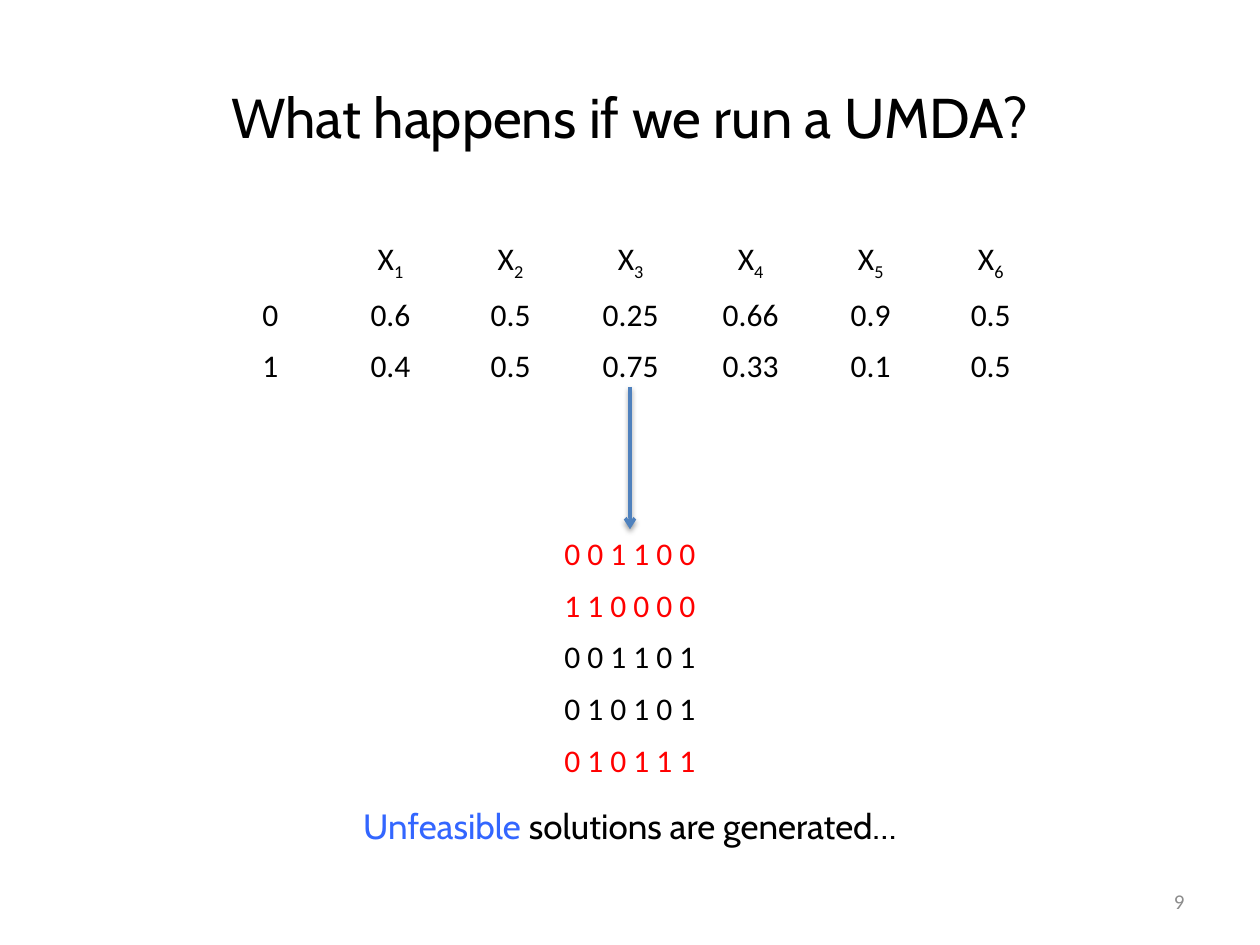
from lxml import etree
from pptx import Presentation
from pptx import util as u
from pptx.dml.color import RGBColor
from pptx.enum import shapes, text
from pptx.oxml import ns

BLACK, RED, BLUE, GREY, ARROW = "000000", "FF0000", "3366FF", "8C8C8C", "4F81BD"
PROBABILITIES = [
    ["", "X1", "X2", "X3", "X4", "X5", "X6"],
    ["0", "0.6", "0.5", "0.25", "0.66", "0.9", "0.5"],
    ["1", "0.4", "0.5", "0.75", "0.33", "0.1", "0.5"],
]
SOLUTIONS = [
    ("0 0 1 1 0 0", RED),
    ("1 1 0 0 0 0", RED),
    ("0 0 1 1 0 1", BLACK),
    ("0 1 0 1 0 1", BLACK),
    ("0 1 0 1 1 1", RED),
]


def rgb(value):
    """Turn a hex string into a colour."""
    return RGBColor.from_string(value)


class SlideBuilder:
    """Hold the style and the current slide."""

    title_font, body_font = "Cabin", "Calibri"

    def __init__(self, presentation):
        """Add a title-only slide."""
        self.slide = presentation.slides.add_slide(presentation.slide_layouts[5])

    def format_run(self, run, size, color, font):
        """Set the font of one run."""
        run.font.size, run.font.name = u.Pt(size), font
        run.font.color.rgb = rgb(color)

    def fill_paragraph(self, paragraph, parts, size, font, align=text.PP_ALIGN.CENTER):
        """Fill a paragraph with (wording, colour) parts."""
        paragraph.alignment = align
        for wording, color in parts:
            run = paragraph.add_run()
            run.text = wording
            self.format_run(run, size, color, font)

    def title(self, wording, left, top, width, height):
        """Place and format the title."""
        shape = self.slide.shapes.title
        shape.left, shape.top = u.Inches(left), u.Inches(top)
        shape.width, shape.height = u.Inches(width), u.Inches(height)
        shape.text_frame.vertical_anchor = text.MSO_ANCHOR.MIDDLE
        self.fill_paragraph(
            shape.text_frame.paragraphs[0], [(wording, BLACK)], 32, self.title_font)

    def text_box(self, parts, left, top, width, height, size, font, align):
        """Add one line of text, vertically centred."""
        shape = self.slide.shapes.add_textbox(*map(u.Inches, (left, top, width, height)))
        frame = shape.text_frame
        frame.word_wrap = True
        frame.vertical_anchor = text.MSO_ANCHOR.MIDDLE
        self.fill_paragraph(frame.paragraphs[0], parts, size, font, align)

    def table(self, rows, left, top, width, row_heights):
        """Add a plain table whose cells are lists of (wording, colour) parts."""
        frame = self.slide.shapes.add_table(
            len(rows), len(rows[0]),
            *map(u.Inches, (left, top, width, sum(row_heights))))
        table = frame.table
        table.first_row = table.horz_banding = False
        for row, height, contents in zip(table.rows, row_heights, rows):
            row.height = u.Inches(height)
            for cell, parts in zip(row.cells, contents):
                cell.fill.background()
                self.fill_paragraph(
                    cell.text_frame.paragraphs[0], parts, 18, self.body_font)
        return table

    def subscript(self, run):
        """Lower a run below the baseline."""
        run.font._element.set("baseline", "-25000")

    def arrow(self, x, top, bottom):
        """Add a downward arrow with a soft shadow."""
        line = self.slide.shapes.add_connector(
            shapes.MSO_CONNECTOR.STRAIGHT, *map(u.Inches, (x, top, x, bottom)))
        line.line.color.rgb = rgb(ARROW)
        line.line.width = u.Pt(2)
        etree.SubElement(line.line._get_or_add_ln(), ns.qn("a:tailEnd"), type="arrow")
        effects = etree.SubElement(line._element.spPr, ns.qn("a:effectLst"))
        shadow = etree.SubElement(
            effects, ns.qn("a:outerShdw"), blurRad=str(u.Pt(3.1)),
            dist=str(u.Pt(1.6)), dir="5400000", rotWithShape="0")
        color = etree.SubElement(shadow, ns.qn("a:srgbClr"), val=BLACK)
        etree.SubElement(color, ns.qn("a:alpha"), val="38000")


def main():
    """Build and save the slide."""
    presentation = Presentation()
    presentation.slide_width, presentation.slide_height = u.Inches(10), u.Inches(7.5)
    builder = SlideBuilder(presentation)
    builder.title("What happens if we run a UMDA?", 0.5, 0.3, 9, 1.25)

    header, *values = PROBABILITIES
    rows = [[[(part, BLACK) for part in name] for name in header]]
    rows += [[[(value, BLACK)] for value in row] for row in values]
    table = builder.table(rows, 1.67, 1.86, 6.67, [0.41] * 3)
    for cell in list(table.rows[0].cells)[1:]:
        builder.subscript(cell.text_frame.paragraphs[0].runs[1])

    builder.table([[[solution]] for solution in SOLUTIONS],
                  4.06, 4.2, 1.88, [0.41] * 4 + [0.47])
    builder.arrow(5, 3.07, 4.2)
    builder.text_box([("Unfeasible ", BLUE), ("solutions are generated…", BLACK)],
                     0.5, 6.3, 9, 0.5, 20, builder.title_font, text.PP_ALIGN.CENTER)
    builder.text_box([("9", GREY)], 7.17, 6.95, 2.33, 0.4, 12,
                     builder.body_font, text.PP_ALIGN.RIGHT)
    presentation.save("out.pptx")


if __name__ == "__main__":
    main()
